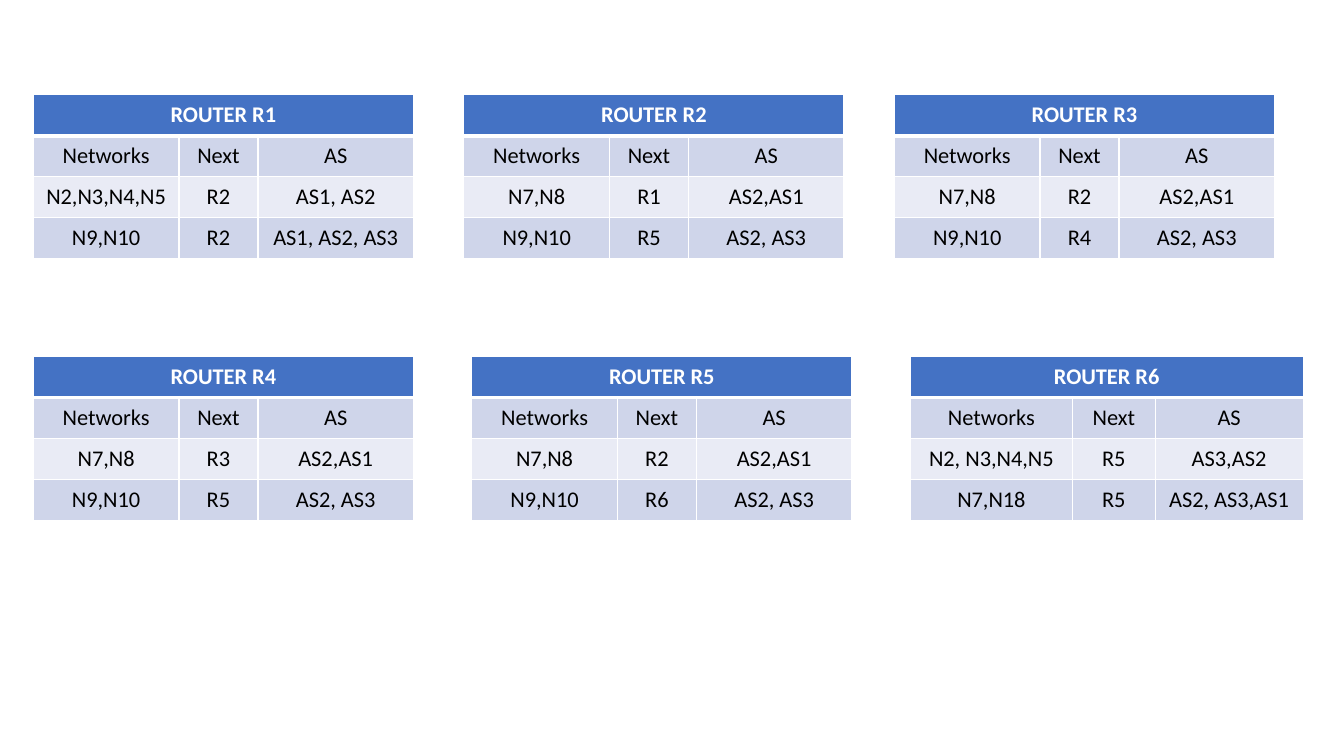
import pptx
import pptx.dml.color
import pptx.enum.text
import pptx.oxml
import pptx.oxml.ns
import pptx.util

Cm, Pt = pptx.util.Cm, pptx.util.Pt
RGB = pptx.dml.color.RGBColor

COLORS = {"head": "4472C4", "dark": "CFD5EA", "light": "E9EBF5",
          "white": "FFFFFF", "black": "000000"}
LABELS = ("Networks", "Next", "AS")
BANDS = ("head", "dark", "light", "dark")
WIDTHS = (3.67, 1.99, 3.92)
WIDE = (4.09, 2.08, 3.73)
LEFT, HEIGHT = 0.84, 1.03

# Each line of tables: top, step to the next table, then the tables
LINES = [
    (2.39, 10.85, [
        ("ROUTER R1", WIDTHS, [("N2,N3,N4,N5", "R2", "AS1, AS2"),
                               ("N9,N10", "R2", "AS1, AS2, AS3")]),
        ("ROUTER R2", WIDTHS, [("N7,N8", "R1", "AS2,AS1"),
                               ("N9,N10", "R5", "AS2, AS3")]),
        ("ROUTER R3", WIDTHS, [("N7,N8", "R2", "AS2,AS1"),
                               ("N9,N10", "R4", "AS2, AS3")]),
    ]),
    (8.99, 11.05, [
        ("ROUTER R4", WIDTHS, [("N7,N8", "R3", "AS2,AS1"),
                               ("N9,N10", "R5", "AS2, AS3")]),
        ("ROUTER R5", WIDTHS, [("N7,N8", "R2", "AS2,AS1"),
                               ("N9,N10", "R6", "AS2, AS3")]),
        ("ROUTER R6", WIDE, [("N2, N3,N4,N5", "R5", "AS3,AS2"),
                             ("N7,N18", "R5", "AS2, AS3,AS1")]),
    ]),
]


def color(name):
    return RGB.from_string(COLORS[name])


def edge(cell, row):
    """Draw white borders, thicker between the heading and the labels."""
    thick = {0: "lnB", 1: "lnT"}.get(row)
    for side in ("lnL", "lnR", "lnT", "lnB"):
        width = Pt(3 if side == thick else 1)
        cell._tc.get_or_add_tcPr().append(pptx.oxml.parse_xml(
            f'<a:{side} {pptx.oxml.ns.nsdecls("a")} w="{width}"><a:solidFill>'
            f'<a:srgbClr val="{COLORS["white"]}"/></a:solidFill></a:{side}>'))


def fill_cell(cell, row, text):
    edge(cell, row)
    cell.fill.solid()
    cell.fill.fore_color.rgb = color(BANDS[row])
    cell.vertical_anchor = pptx.enum.text.MSO_ANCHOR.MIDDLE
    cell.text = text
    para = cell.text_frame.paragraphs[0]
    para.alignment = pptx.enum.text.PP_ALIGN.CENTER
    look = {"name": "Calibri", "size": Pt(16), "bold": row == 0}
    for key, value in look.items():
        setattr(para.font, key, value)
        for run in para.runs:
            setattr(run.font, key, value)
    for run in para.runs:
        run.font.color.rgb = color("white" if row == 0 else "black")


def add_router(slide, left, top, name, widths, routes):
    rows = [(name, "", ""), LABELS, *routes]
    table = slide.shapes.add_table(
        len(rows), len(widths), Cm(left), Cm(top),
        Cm(sum(widths)), Cm(HEIGHT * len(rows))).table
    for col, width in zip(table.columns, widths):
        col.width = Cm(width)
    for row, texts in enumerate(rows):
        table.rows[row].height = Cm(HEIGHT)
        for col, text in enumerate(texts):
            fill_cell(table.cell(row, col), row, text)
    table.cell(0, 0).merge(table.cell(0, len(widths) - 1))


def main():
    deck = pptx.Presentation()
    deck.slide_width, deck.slide_height = Cm(33.87), Cm(19.05)
    slide = deck.slides.add_slide(deck.slide_layouts[6])
    for top, step, routers in LINES:
        for place, router in enumerate(routers):
            add_router(slide, LEFT + place * step, top, *router)
    deck.save("out.pptx")


if __name__ == "__main__":
    main()
